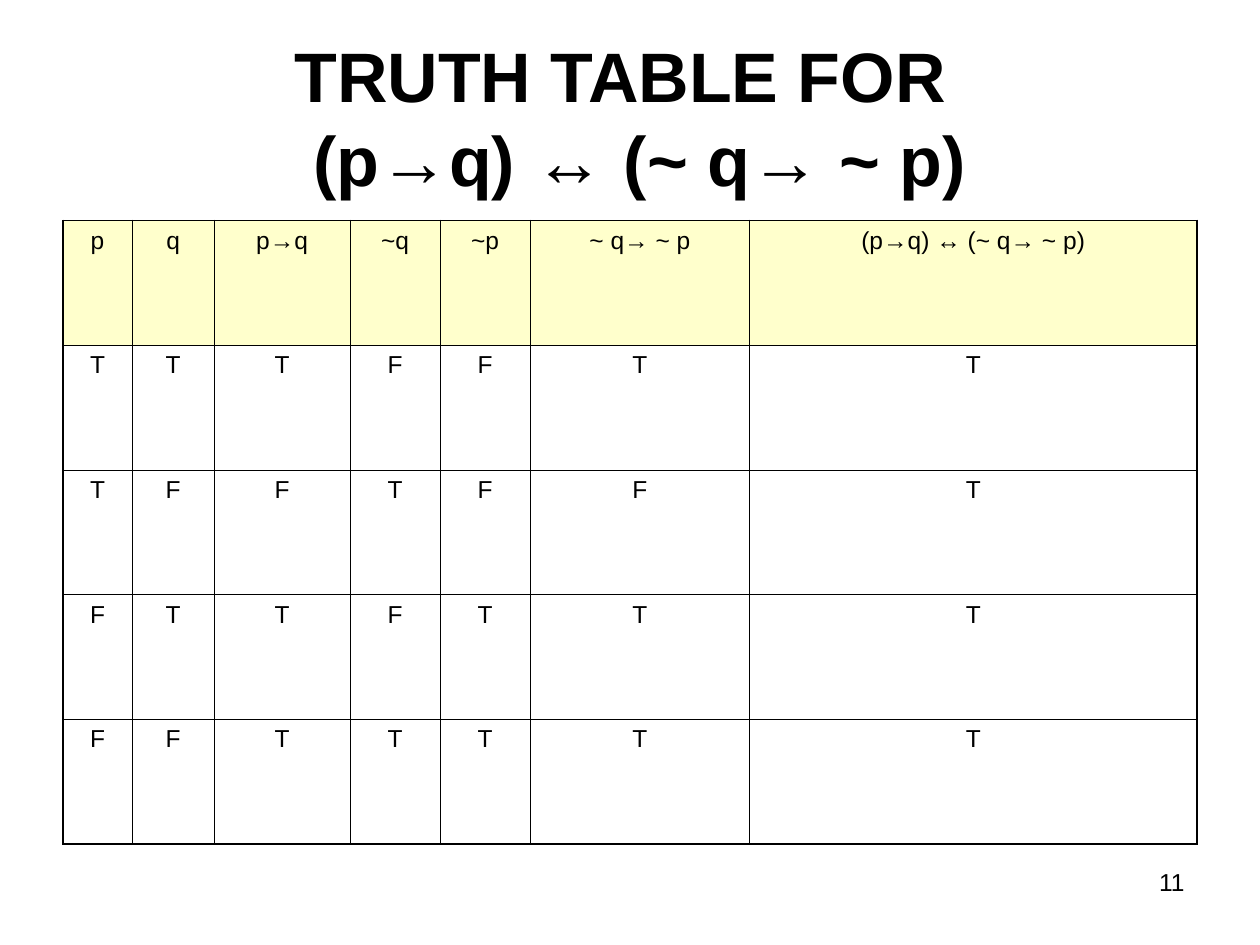
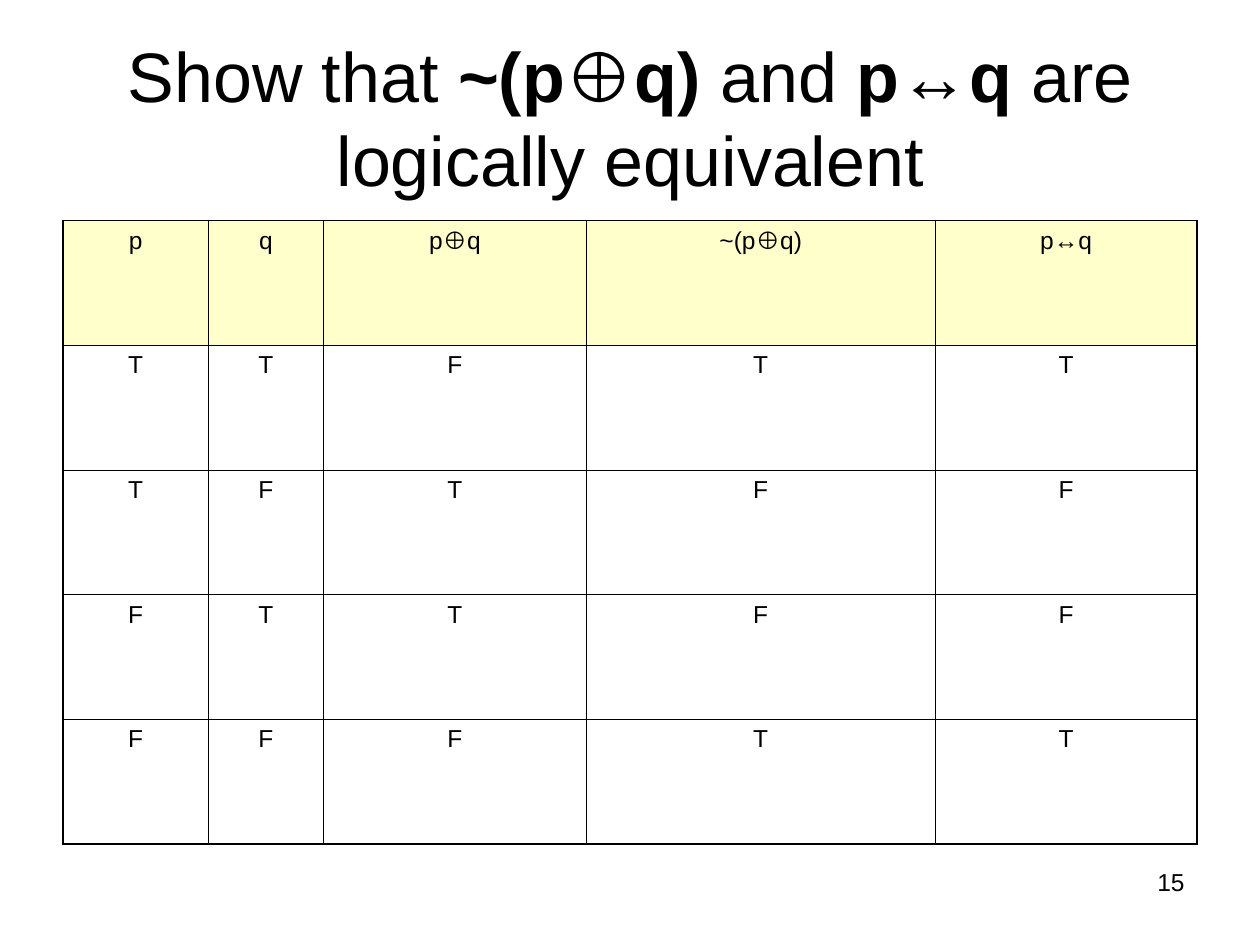
from lxml.etree import SubElement
from pptx import Presentation
from pptx.dml.color import RGBColor
from pptx.enum.text import MSO_ANCHOR as Anchor, MSO_AUTO_SIZE as AutoSize, PP_ALIGN as Align
from pptx.oxml.ns import qn
from pptx.util import Pt

BLACK = RGBColor(0x00, 0x00, 0x00)
HEADER_YELLOW = RGBColor(0xFF, 0xFF, 0xCC)
FONT = "Arial"
TITLE_SIZE = 40
TEXT_SIZE = 14
OUTER_LINE = Pt(1.08)
INNER_LINE = Pt(0.45)
LEFT, WIDTH = Pt(36), Pt(648)
ROW_HEIGHT = Pt(71.28)

TRUTH_SLIDES = [
    {
        "number": "11",
        "title": [("TRUTH TABLE FOR ", True), ("\n", True), (" (p→q) ↔ (~ q→ ~ p)", True)],
        "headers": ["p", "q", "p→q", "~q", "~p", "~ q→ ~ p", "(p→q) ↔ (~ q→ ~ p)"],
        "values": ["TTTFFTT", "TFFTFFT", "FTTFTTT", "FFTTTTT"],
        "widths": [39.5, 47, 77.5, 51.5, 51.5, 125.5, 255.5],
    },
    {
        "number": "15",
        "title": [
            ("Show that ", False),
            ("~(p⊕q)", True),
            (" and ", False),
            ("p↔q", True),
            (" are logically equivalent", False),
        ],
        "headers": ["p", "q", "p⊕q", "~(p⊕q)", "p↔q"],
        "values": ["TTFTT", "TFTFF", "FTTFF", "FFFTT"],
        "widths": [83, 66, 150, 199.5, 149.5],
    },
]


def style_run(run, size, bold=False):
    run.font.name = FONT
    run.font.size = Pt(size)
    run.font.bold = bold
    run.font.color.rgb = BLACK


def add_border(cell, side, width):
    line = SubElement(cell._tc.get_or_add_tcPr(), qn(f"a:ln{side}"), w=str(width))
    fill = SubElement(line, qn("a:solidFill"))
    SubElement(fill, qn("a:srgbClr"), val=str(BLACK))


prs = Presentation()
prs.slide_width, prs.slide_height = Pt(720), Pt(540)
for title_style in prs.slide_master.element.xpath(".//p:titleStyle/a:lvl1pPr/a:defRPr"):
    title_style.set("sz", str(TITLE_SIZE * 100))

for content in TRUTH_SLIDES:
    slide = prs.slides.add_slide(prs.slide_layouts[5])

    title = slide.shapes.title
    title.left, title.top, title.width, title.height = LEFT, Pt(21.6), WIDTH, Pt(90)
    title.text_frame.auto_size = AutoSize.NONE
    title.text_frame.vertical_anchor = Anchor.MIDDLE
    heading = title.text_frame.paragraphs[0]
    heading.alignment = Align.CENTER
    for words, bold in content["title"]:
        if words == "\n":
            heading.add_line_break()
            continue
        run = heading.add_run()
        run.text = words
        style_run(run, TITLE_SIZE, bold)

    page_number = slide.shapes.add_textbox(Pt(516), Pt(492), Pt(168), Pt(37.5)).text_frame
    page_number.word_wrap = True
    page_number.text = content["number"]
    page_number.paragraphs[0].alignment = Align.RIGHT
    style_run(page_number.paragraphs[0].runs[0], TEXT_SIZE)

    rows = [content["headers"], *content["values"]]
    last_row, last_column = len(rows) - 1, len(content["headers"]) - 1
    truth_table = slide.shapes.add_table(
        len(rows), len(content["headers"]), LEFT, Pt(126), WIDTH, ROW_HEIGHT * len(rows)
    ).table
    truth_table.first_row = False
    truth_table.horz_banding = False
    for column, width in zip(truth_table.columns, content["widths"]):
        column.width = Pt(width)

    for r, row in enumerate(rows):
        truth_table.rows[r].height = ROW_HEIGHT
        for c, value in enumerate(row):
            cell = truth_table.cell(r, c)
            cell.text_frame.text = value
            cell.text_frame.paragraphs[0].alignment = Align.CENTER
            style_run(cell.text_frame.paragraphs[0].runs[0], TEXT_SIZE)
            outer_sides = {"L": c == 0, "R": c == last_column, "T": r == 0, "B": r == last_row}
            for side, is_outer in outer_sides.items():
                add_border(cell, side, OUTER_LINE if is_outer else INNER_LINE)
            if r == 0:
                cell.fill.solid()
                cell.fill.fore_color.rgb = HEADER_YELLOW
            else:
                cell.fill.background()

prs.save("out.pptx")
